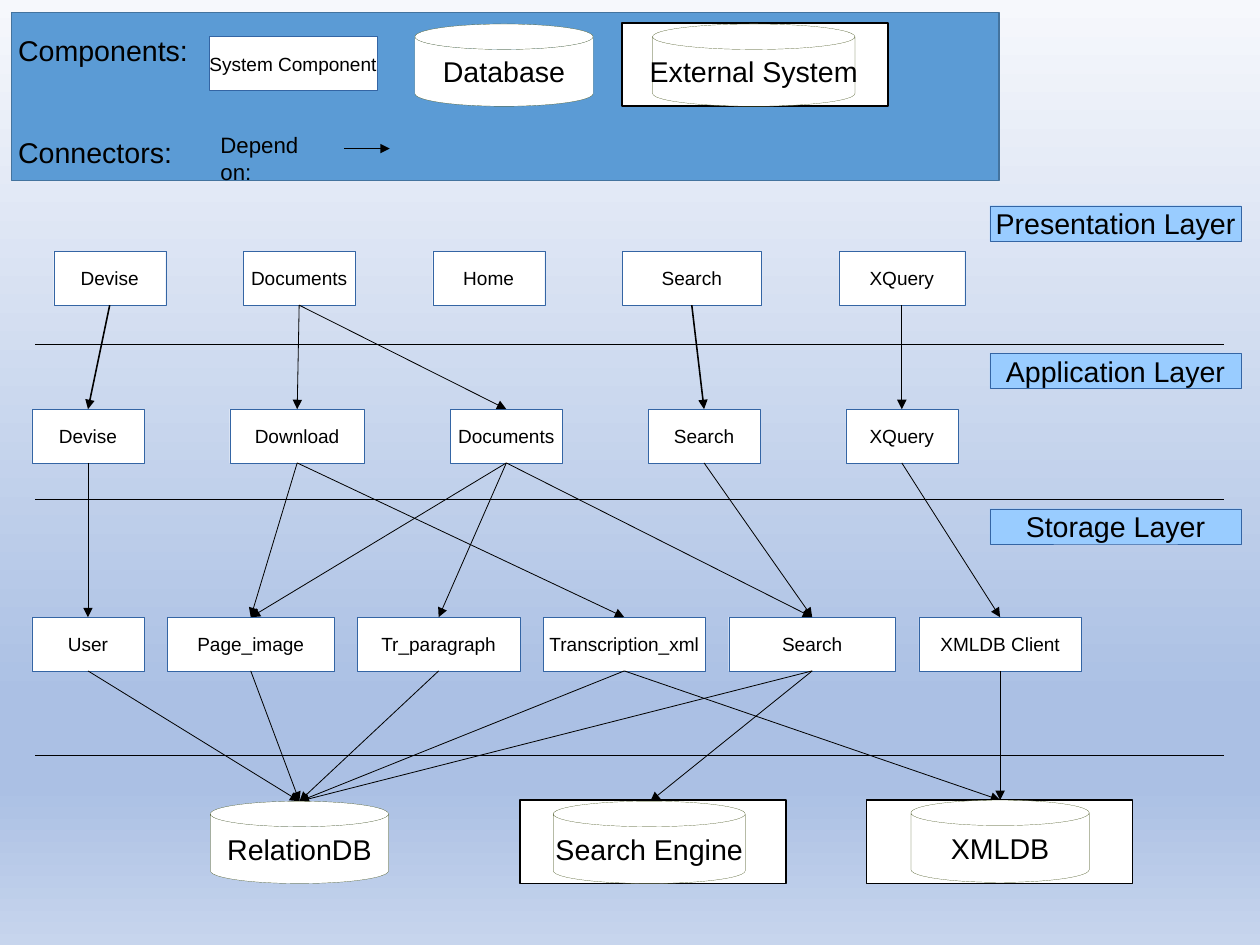
from lxml.etree import SubElement
from pptx import Presentation
from pptx.dml.color import RGBColor
from pptx.enum.shapes import MSO_CONNECTOR, MSO_SHAPE
from pptx.enum.text import MSO_ANCHOR, PP_ALIGN
from pptx.oxml.ns import qn
from pptx.util import Inches, Pt

BLACK = RGBColor(0x00, 0x00, 0x00)
WHITE = RGBColor(0xFF, 0xFF, 0xFF)
LAYER_BLUE = RGBColor(0x99, 0xCC, 0xFF)
BOX_LINE = RGBColor(0x34, 0x65, 0xA4)
DATABASE_LINE = RGBColor(0x31, 0x40, 0x04)
LEGEND_BLUE = RGBColor(0x5B, 0x9B, 0xD5)
LEGEND_LINE = RGBColor(0x43, 0x73, 0x9E)
BACKGROUND_STOPS = [(0, "F6F8FC"), (74, "ABC0E4"), (83, "ABC0E4"), (100, "C7D5ED")]

HAIRLINE = 0.1
BOX_HEIGHT = 0.47
DATABASE_HEIGHT = 0.72
FRAME_SIZE = (2.33, 0.73)

# The slide measures 28 by 21 centimetres
presentation = Presentation()
presentation.slide_width = Inches(28 / 2.54)
presentation.slide_height = Inches(21 / 2.54)
slide = presentation.slides.add_slide(presentation.slide_layouts[6])


def add_box(kind, place, fill, line, line_width=HAIRLINE, text="", size=12):
    shape = slide.shapes.add_shape(kind, *[Inches(value) for value in place])
    shape.shadow.inherit = False
    shape.fill.solid()
    shape.fill.fore_color.rgb = fill
    shape.line.color.rgb = line
    shape.line.width = Pt(line_width)
    if kind == MSO_SHAPE.CAN:
        shape.adjustments[0] = 0.31
    if text:
        frame = shape.text_frame
        frame.word_wrap = False
        frame.vertical_anchor = MSO_ANCHOR.MIDDLE
        paragraph = frame.paragraphs[0]
        paragraph.alignment = PP_ALIGN.CENTER
        run = paragraph.add_run()
        run.text = text
        run.font.name = "Arial"
        run.font.size = Pt(size)
        run.font.color.rgb = BLACK
    return shape


def add_line(start, end, width, arrow=True):
    points = [Inches(value) for value in (*start, *end)]
    connector = slide.shapes.add_connector(MSO_CONNECTOR.STRAIGHT, *points)
    connector.line.color.rgb = BLACK
    connector.line.width = Pt(width)
    if arrow:
        SubElement(connector.line._get_or_add_ln(), qn("a:tailEnd"), type="triangle")
    SubElement(connector._element.spPr, qn("a:effectLst"))
    return connector


# Background gradient
background = slide.background.fill
background.gradient()
background.gradient_angle = 270
stop_list = slide.element.find(".//" + qn("a:gsLst"))
for stop in list(stop_list):
    stop_list.remove(stop)
for position, color in BACKGROUND_STOPS:
    stop = SubElement(stop_list, qn("a:gs"), pos=str(position * 1000))
    SubElement(stop, qn("a:srgbClr"), val=color)

# Layer labels and the lines between layers
for top, label in [(1.8, "Presentation Layer"), (3.09, "Application Layer"),
                   (4.45, "Storage Layer")]:
    add_box(MSO_SHAPE.RECTANGLE, (8.66, top, 2.2, 0.31), LAYER_BLUE, BOX_LINE,
            text=label, size=18)
for height in (3.01, 4.37, 6.61):
    add_line((0.31, height), (10.71, height), HAIRLINE, arrow=False)

# Components: layer, left, right, top, then name and width of each box
layers = [
    ("presentation", 0.47, 8.44, 2.2,
     [("Devise", 0.98), ("Documents", 0.98), ("Home", 0.98), ("Search", 1.22),
      ("XQuery", 1.1)]),
    ("application", 0.28, 8.38, 3.58,
     [("Devise", 0.98), ("Download", 1.18), ("Documents", 0.98), ("Search", 0.98),
      ("XQuery", 0.98)]),
    ("storage", 0.28, 9.46, 5.4,
     [("User", 0.98), ("Page_image", 1.46), ("Tr_paragraph", 1.42),
      ("Transcription_xml", 1.42), ("Search", 1.46), ("XMLDB Client", 1.42)]),
]
components = {}
for layer, left, right, top, boxes in layers:
    gap = (right - left - sum(width for name, width in boxes)) / (len(boxes) - 1)
    for name, width in boxes:
        components[layer, name] = add_box(
            MSO_SHAPE.RECTANGLE, (left, top, width, BOX_HEIGHT), WHITE, BOX_LINE, text=name)
        left += width + gap

# Dependencies between components
dependencies = [
    ("presentation", "application",
     [("Devise", "Devise", 1), ("Documents", "Documents", 0.5),
      ("Documents", "Download", 0.5), ("Search", "Search", 1), ("XQuery", "XQuery", 0.5)]),
    ("application", "storage",
     [("Devise", "User", 0.5), ("Documents", "Page_image", 0.5),
      ("Documents", "Search", 0.5), ("Documents", "Tr_paragraph", 0.5),
      ("Download", "Page_image", 0.5), ("Download", "Transcription_xml", 0.5),
      ("Search", "Search", 0.5), ("XQuery", "XMLDB Client", 0.5)]),
]
for upper, lower, pairs in dependencies:
    for source, target, width in pairs:
        connector = add_line((0, 0), (0, 0), width)
        connector.begin_connect(components[upper, source], 2)
        connector.end_connect(components[lower, target], 0)

# Dependencies on databases: centre and top of each database, then its users
database_users = [
    (2.62, 7.01, ["User", "Page_image", "Tr_paragraph", "Transcription_xml", "Search"]),
    (5.69, 7.01, ["Search"]),
    (8.75, 7.0, ["XMLDB Client", "Transcription_xml"]),
]
for center, top, users in database_users:
    for user in users:
        connector = add_line((0, 0), (center, top), 0.5)
        connector.begin_connect(components["storage", user], 2)

# Legend panel
add_box(MSO_SHAPE.RECTANGLE, (0.1, 0.11, 8.64, 1.47), LEGEND_BLUE, LEGEND_LINE, 1)
add_box(MSO_SHAPE.RECTANGLE, (1.83, 0.32, 1.47, BOX_HEIGHT), WHITE, BOX_LINE,
        text="System Component")

# Databases, with a frame around the external ones
databases = [
    ("RelationDB", 1.84, 7.01, 1.56, None),
    ("Search Engine", 4.84, 7.01, 1.68, (4.55, 7.0)),
    ("XMLDB", 7.97, 7.0, 1.56, (7.58, 7.0)),
    ("Database", 3.63, 0.21, 1.56, None),
    ("External System", 5.71, 0.21, 1.77, (5.44, 0.2)),
]
for name, left, top, width, frame_corner in databases:
    if frame_corner:
        add_box(MSO_SHAPE.RECTANGLE, frame_corner + FRAME_SIZE, WHITE, BLACK, 1)
    add_box(MSO_SHAPE.CAN, (left, top, width, DATABASE_HEIGHT), WHITE, DATABASE_LINE,
            text=name, size=18)

# Legend arrow and captions
add_line((3.01, 1.3), (3.41, 1.3), 0.5)
for text, left, top, width, height, size in [
        ("Depend on:", 1.83, 1.1, 1.15, 0.34, 14),
        ("Components:", 0.06, 0.24, 2.53, 0.4, 18),
        ("Connectors:", 0.06, 1.13, 1.57, 0.4, 18)]:
    caption = slide.shapes.add_textbox(Inches(left), Inches(top), Inches(width), Inches(height))
    caption.text_frame.word_wrap = True
    run = caption.text_frame.paragraphs[0].add_run()
    run.text = text
    run.font.name = "Arial"
    run.font.size = Pt(size)
    run.font.color.rgb = BLACK

presentation.save("out.pptx")
